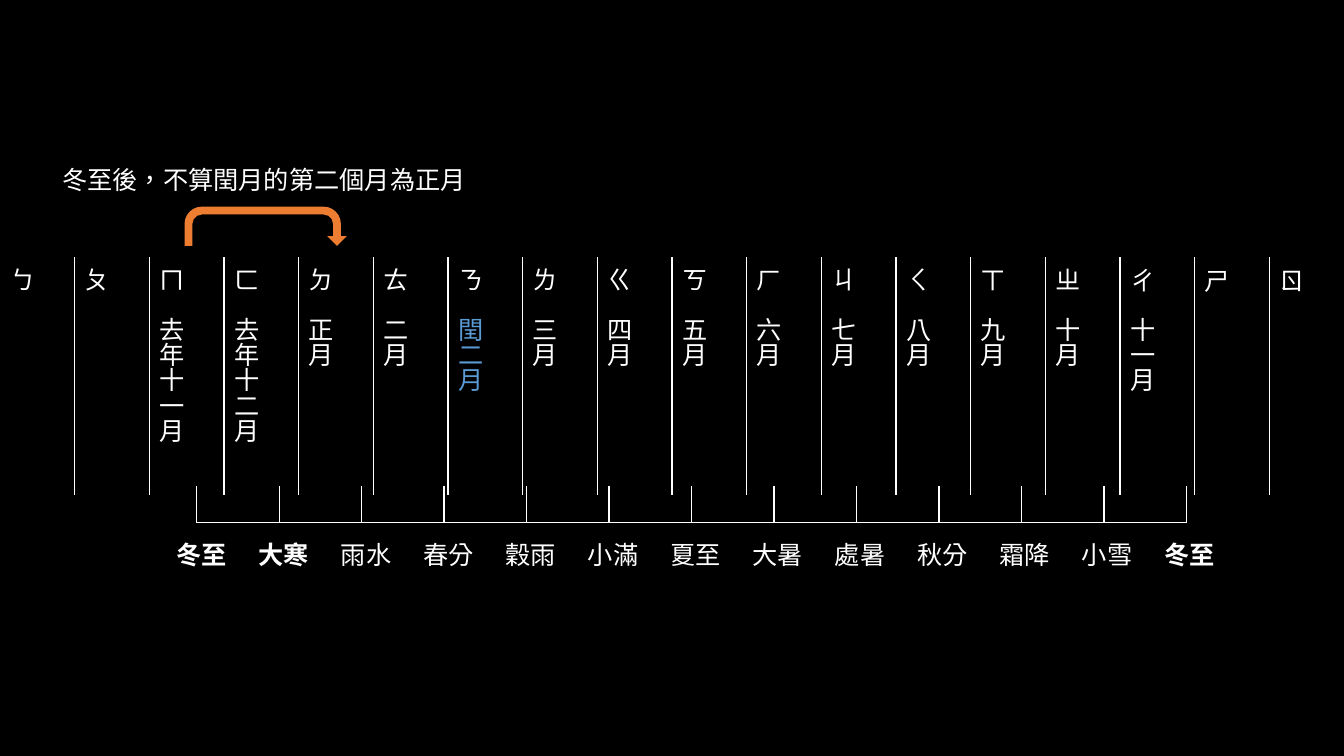
import pptx
import pptx.dml.color
import pptx.enum.lang
import pptx.enum.shapes
import pptx.enum.text
import pptx.oxml
import pptx.oxml.ns
import pptx.util
from pptx.util import Inches

RGBColor = pptx.dml.color.RGBColor
BLACK = RGBColor(0x00, 0x00, 0x00)
WHITE = RGBColor(0xFF, 0xFF, 0xFF)
BLUE = RGBColor(0x5B, 0x9B, 0xD5)
ORANGE = RGBColor(0xED, 0x7D, 0x31)
SERIF = "TeX Gyre Bonum"
SANS = "Noto Sans CJK SC"
ARIAL = "Arial"
NO_STYLE = "{2D5ABB26-0587-4C30-8999-92F81FD0307C}"

LETTERS = "ㄅㄆㄇㄈㄉㄊㄋㄌㄍㄎㄏㄐㄑㄒㄓㄔㄕㄖ"
FIRST_ARIAL = LETTERS.index("ㄔ")
LEAP_MONTH = "閏二月"
MONTHS = ["", "", "去年十一月", "去年十二月", "正月", "二月", LEAP_MONTH, "三月", "四月",
          "五月", "六月", "七月", "八月", "九月", "十月", "十一月", "", ""]
TERMS = ["冬至", "大寒", "雨水", "春分", "穀雨", "小滿", "夏至",
         "大暑", "處暑", "秋分", "霜降", "小雪", "冬至"]
BOLD_TERMS = ("冬至", "大寒")


def write_text(tf, text, font=SANS, color=WHITE, size=18, bold=False, align=None):
    p = tf.paragraphs[0]
    p.alignment = align
    r = p.add_run()
    r.text = text
    r.font.size = pptx.util.Pt(size)
    r.font.bold = bold
    r.font.name = font
    r.font.color.rgb = color
    r.font.language_id = pptx.enum.lang.MSO_LANGUAGE_ID.TRADITIONAL_CHINESE
    ea = pptx.oxml.parse_xml(f'<a:ea {pptx.oxml.ns.nsdecls("a")} typeface="{font}"/>')
    r.font._element.find(pptx.oxml.ns.qn("a:latin")).addnext(ea)


def add_grid(s, left, top, width, heights, columns):
    frame = s.shapes.add_table(len(heights), columns, Inches(left), Inches(top),
                               Inches(width), Inches(sum(heights)))
    table = frame.table
    table.first_row = table.horz_banding = False
    table._tbl.tblPr.find(pptx.oxml.ns.qn("a:tableStyleId")).text = NO_STYLE
    for row, height in zip(table.rows, heights):
        row.height = Inches(height)
    for column in table.columns:
        column.width = Inches(width / columns)
    for cell in table.iter_cells():
        cell.fill.background()
    return table


def set_borders(cell, sides):
    tcPr = cell._tc.get_or_add_tcPr()
    for i, side in enumerate(sides):
        tcPr.insert(i, pptx.oxml.parse_xml(
            f'<a:ln{side} {pptx.oxml.ns.nsdecls("a")} w="12700"><a:solidFill>'
            f'<a:srgbClr val="{WHITE}"/></a:solidFill></a:ln{side}>'))


def write_vertical(cell, text, **style):
    cell.vertical_anchor = pptx.enum.text.MSO_ANCHOR.MIDDLE
    cell._tc.get_or_add_tcPr().set("vert", "eaVert")
    cell.text_frame._txBody.bodyPr.set("vert", "eaVert")
    write_text(cell.text_frame, text, **style)


def write_stacked(cell, text, **style):
    write_vertical(cell, text, **style)
    cell.vertical_anchor = pptx.enum.text.MSO_ANCHOR.TOP
    cell.margin_top = Inches(0.14)
    cell.margin_right = Inches(0.36)
    cell.text_frame.paragraphs[0].line_spacing = pptx.util.Pt(18)


def add_months(s):
    table = add_grid(s, 0, 2.55, 13.33, [0.5, 1.86], len(LETTERS))
    last = len(LETTERS) - 1
    for i, (letter, month) in enumerate(zip(LETTERS, MONTHS)):
        write_stacked(table.cell(0, i), letter, font=ARIAL if i >= FIRST_ARIAL else SERIF)
        if month:
            write_stacked(table.cell(1, i), month, color=BLUE if month == LEAP_MONTH else WHITE)
        sides = ("L" if i > 0 else "") + ("R" if i < last else "")
        for row in range(2):
            set_borders(table.cell(row, i), sides)


def add_scale(s):
    table = add_grid(s, 1.95, 4.82, 9.82, [0.3], len(TERMS) - 1)
    for cell in table.iter_cells():
        cell.margin_top = cell.margin_bottom = Inches(0.03)
        set_borders(cell, "LRB")


def add_terms(s):
    table = add_grid(s, 1.59, 5.15, 10.62, [0.69], len(TERMS))
    for cell, term in zip(table.iter_cells(), TERMS):
        write_vertical(cell, term, bold=term in BOLD_TERMS,
                       align=pptx.enum.text.PP_ALIGN.CENTER)


def add_arrow(s):
    sp = s.shapes.add_shape(pptx.enum.shapes.MSO_SHAPE.U_TURN_ARROW,
                            Inches(1.83), Inches(2.05), Inches(1.61), Inches(0.39))
    for i, value in enumerate([0.2, 0.25, 0.25, 0.44, 1]):
        sp.adjustments[i] = value
    sp.shadow.inherit = False
    sp.fill.solid()
    sp.fill.fore_color.rgb = ORANGE
    sp.line.fill.background()


def add_caption(s, text):
    tf = s.shapes.add_textbox(Inches(0.52), Inches(1.58), Inches(4.24), Inches(0.4)).text_frame
    tf.word_wrap = False
    tf.auto_size = pptx.enum.text.MSO_AUTO_SIZE.SHAPE_TO_FIT_TEXT
    write_text(tf, text, font=SERIF)


def main():
    prs = pptx.Presentation()
    prs.slide_width = Inches(13.33)
    prs.slide_height = Inches(7.5)
    s = prs.slides.add_slide(prs.slide_layouts[6])
    s.background.fill.solid()
    s.background.fill.fore_color.rgb = BLACK
    add_months(s)
    add_scale(s)
    add_terms(s)
    add_arrow(s)
    add_caption(s, "冬至後，不算閏月的第二個月為正月")
    prs.save("out.pptx")


if __name__ == "__main__":
    main()
